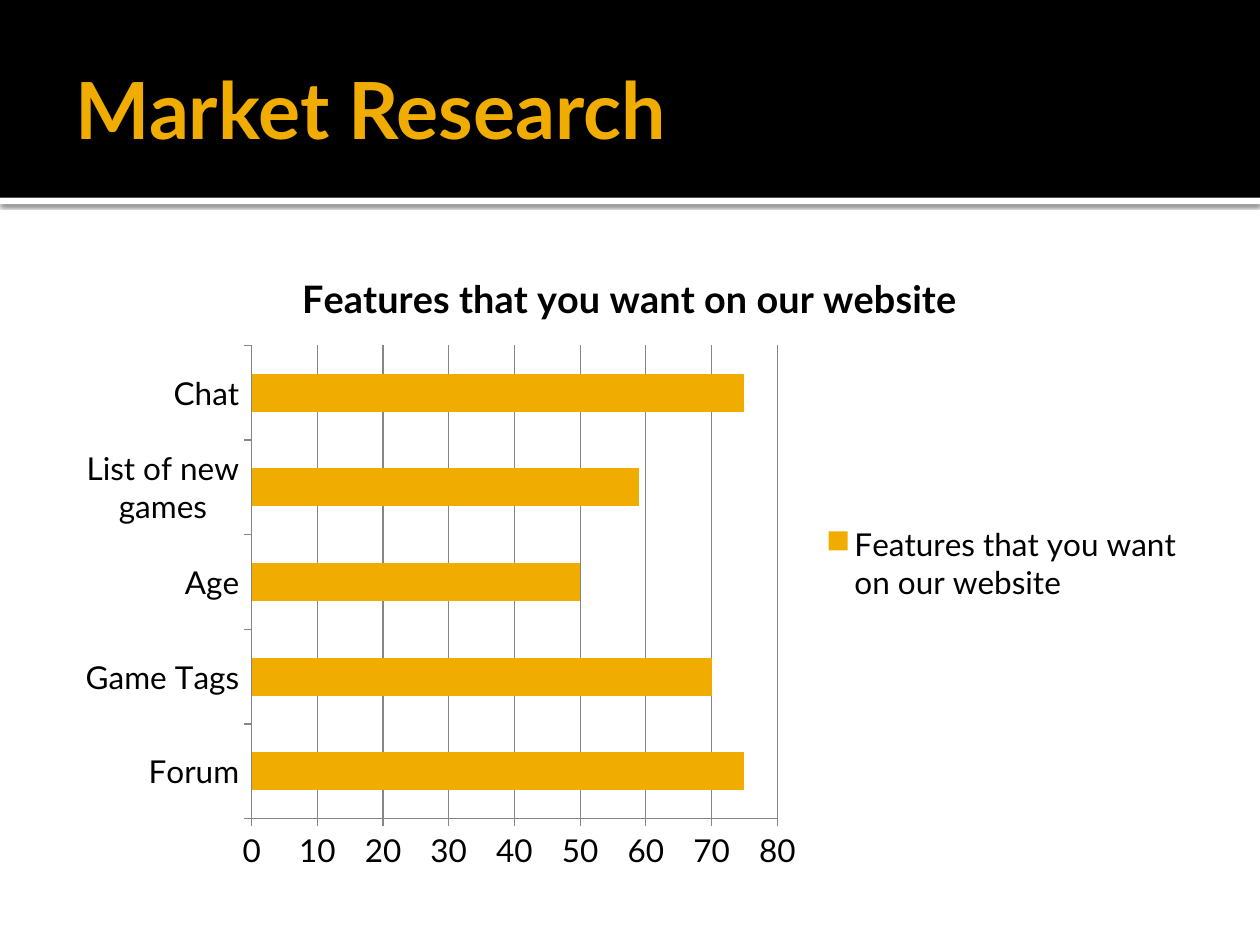
from lxml import etree
from pptx import Presentation
from pptx.chart import data
from pptx.dml.color import RGBColor
from pptx.enum import chart as charts, shapes, text
from pptx.oxml import ns
from pptx.util import Inches, Pt

FONT = "Lato"
GOLD = RGBColor(0xF0, 0xAD, 0x00)
BLACK = RGBColor(0, 0, 0)
WHITE = RGBColor(255, 255, 255)
GRAY = RGBColor(0x86, 0x86, 0x86)
QUESTION = "Features that you want on our website"
VOTES = {"Forum": 75, "Game Tags": 70, "Age": 50, "List of new games": 59, "Chat": 75}


def style_font(font, size, color, bold):
    font.name = FONT
    font.size = Pt(size)
    font.color.rgb = color
    font.bold = bold


presentation = Presentation()
presentation.slide_width = Inches(10)
presentation.slide_height = Inches(7.5)
slide = presentation.slides.add_slide(presentation.slide_layouts[5])
title = slide.shapes.title

bands = []
for top, height, color in [(1.57, 0.05, WHITE), (0, 1.57, BLACK)]:
    band = slide.shapes.add_shape(
        shapes.MSO_SHAPE.RECTANGLE, 0, Inches(top), Inches(10), Inches(height))
    band.fill.solid()
    band.fill.fore_color.rgb = color
    band.line.fill.background()
    band.shadow.inherit = False
    title.element.addprevious(band.element)
    bands.append(band)

effects = bands[0].element.spPr.find(ns.qn("a:effectLst"))
shadow = etree.SubElement(
    effects, ns.qn("a:outerShdw"), blurRad=str(Pt(2.5)), dist=str(Pt(0.8)),
    dir="5400000", algn="tl", rotWithShape="0")
shadow_color = etree.SubElement(shadow, ns.qn("a:srgbClr"), val="000000")
etree.SubElement(shadow_color, ns.qn("a:alpha"), val="60000")

title.left, title.top = Inches(0.5), Inches(0.17)
title.width, title.height = Inches(9), Inches(1.37)
frame = title.text_frame
frame.word_wrap = True
frame.auto_size = text.MSO_AUTO_SIZE.NONE
frame.vertical_anchor = text.MSO_ANCHOR.MIDDLE
frame.margin_left = Inches(0.1)
frame.margin_right = frame.margin_top = frame.margin_bottom = Inches(0.05)
paragraph = frame.paragraphs[0]
paragraph.alignment = text.PP_ALIGN.LEFT
run = paragraph.add_run()
run.text = "Market Research"
style_font(run.font, 45, GOLD, True)

chart_data = data.CategoryChartData()
chart_data.categories = list(VOTES)
chart_data.add_series(QUESTION, list(VOTES.values()))
chart = slide.shapes.add_chart(
    charts.XL_CHART_TYPE.BAR_CLUSTERED, Inches(0.5), Inches(1.94),
    Inches(9), Inches(5.06), chart_data).chart
style_font(chart.font, 18, BLACK, False)

chart.has_title = True
chart.chart_title.include_in_layout = False
run = chart.chart_title.text_frame.paragraphs[0].add_run()
run.text = QUESTION
style_font(run.font, 21.6, BLACK, True)

chart.has_legend = True
chart.legend.position = charts.XL_LEGEND_POSITION.RIGHT
chart.legend.include_in_layout = False

plot = chart.plots[0]
plot.gap_width = 150
plot.vary_by_categories = False
series = plot.series[0]
series.format.fill.solid()
series.format.fill.fore_color.rgb = GOLD

chart.value_axis.has_major_gridlines = True
chart.category_axis.has_major_gridlines = False
for axis in (chart.category_axis, chart.value_axis):
    axis.major_tick_mark = charts.XL_TICK_MARK.OUTSIDE
    axis.minor_tick_mark = charts.XL_TICK_MARK.NONE
    axis.format.line.color.rgb = GRAY
    axis.format.line.width = Pt(0.75)
gridlines = chart.value_axis.major_gridlines.format.line
gridlines.color.rgb = GRAY
gridlines.width = Pt(0.75)

presentation.save("out.pptx")
